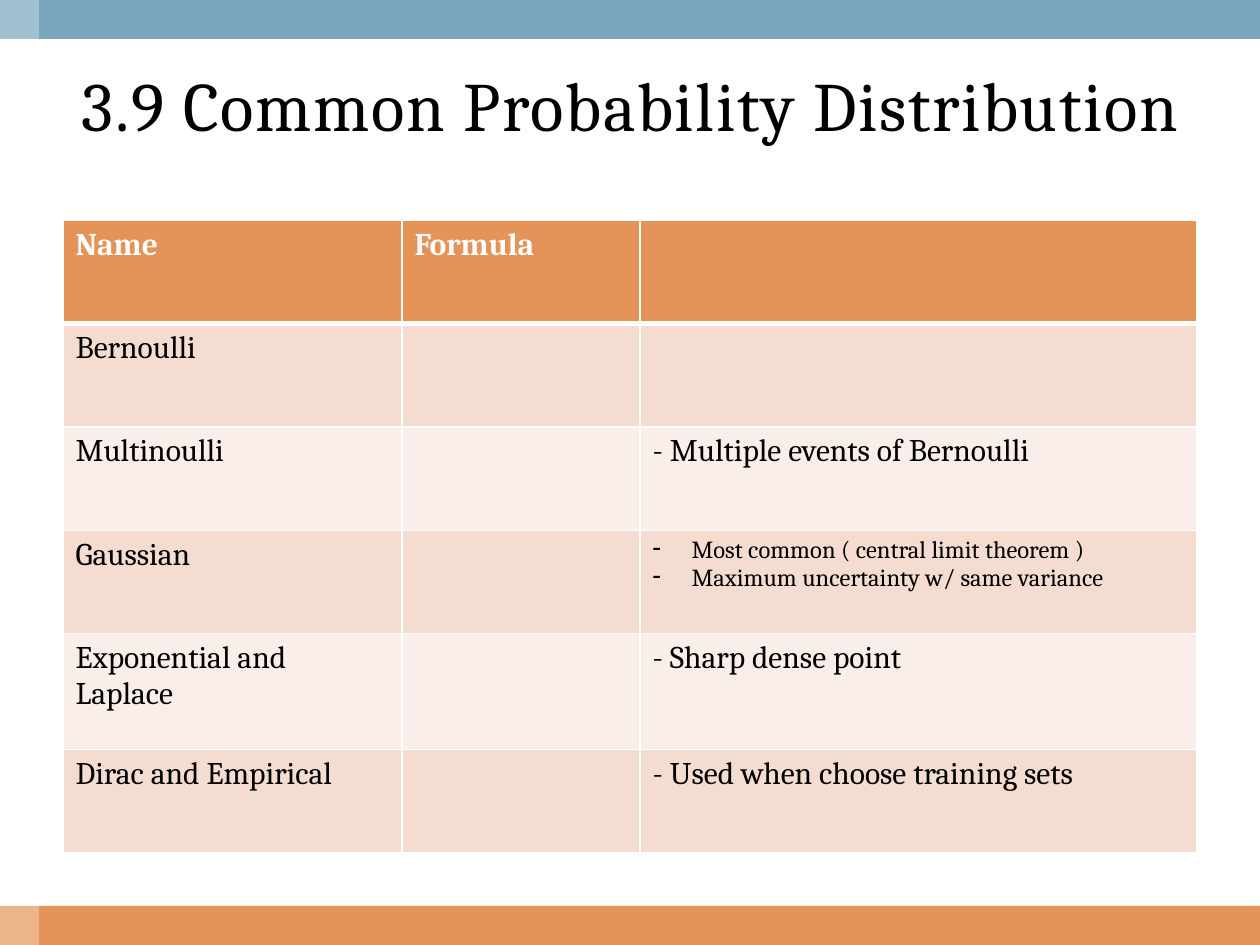
from pptx import Presentation
from pptx.dml.color import RGBColor
from pptx.enum.shapes import MSO_SHAPE as Kind
from pptx.enum.text import MSO_ANCHOR as Anchor, PP_ALIGN as Align
from pptx.oxml.ns import qn
from pptx.util import Inches, Pt
from lxml.etree import SubElement

TITLE = "3.9 Common Probability Distribution"
# A plain string is one paragraph; a list is a set of dashed points.
ROWS = [
    ("Name", "Formula", ""),
    ("Bernoulli", "", ""),
    ("Multinoulli", "", "- Multiple events of Bernoulli"),
    ("Gaussian", "", ["Most common ( central limit theorem )",
                      "Maximum uncertainty w/ same variance"]),
    ("Exponential and Laplace", "", "- Sharp dense point"),
    ("Dirac and Empirical", "", "- Used when choose training sets"),
]
THEME = dict(font="Cambria", white="FFFFFF", black="000000", blue="7BA5BE",
             orange="E49458", bands=("FAEEEA", "F5DCD1"),
             title=39.6, body=18, point=14)
WIDE, HIGH, BAR = 10, 7.5, 0.31
COLS = [2.69, 1.89, 4.42]
TALL = [0.82, 0.82, 0.82, 0.82, 0.92, 0.82]
INDENT = 0.31


def rgb(code):
    return RGBColor.from_string(code)


def box(*spot):
    return [Inches(n) for n in spot]


def style(para, size, color, bold=False):
    for run in para.runs:
        font = run.font
        font.name, font.size, font.bold = THEME["font"], Pt(size), bold
        font.color.rgb = rgb(color)


def band(slide, spot, color, alpha=None):
    shape = slide.shapes.add_shape(Kind.RECTANGLE, *box(*spot))
    shape.shadow.inherit = False
    shape.line.fill.background()
    shape.fill.solid()
    shape.fill.fore_color.rgb = rgb(color)
    if alpha:
        tint = shape.fill._xPr.find(".//" + qn("a:srgbClr"))
        SubElement(tint, qn("a:alpha"), val=str(alpha * 1000))


def edge(cell, head):
    """Draw white cell borders, thicker between header and body."""
    props = cell._tc.get_or_add_tcPr()
    for at, side in enumerate("LRTB"):
        thick = 3 if head and side == "B" else 1
        line = props.makeelement(qn("a:ln" + side), {"w": str(Pt(thick))})
        fill = SubElement(line, qn("a:solidFill"))
        SubElement(fill, qn("a:srgbClr"), val=THEME["white"])
        props.insert(at, line)


def dash(para):
    props = para._p.get_or_add_pPr()
    props.set("marL", str(Inches(INDENT)))
    props.set("indent", str(-Inches(INDENT)))
    SubElement(props, qn("a:buChar"), char="-")


def write(cell, text, head):
    frame = cell.text_frame
    points = isinstance(text, list)
    frame.text = "\n".join(text) if points else text
    for para in frame.paragraphs:
        style(para, THEME["point" if points else "body"],
              THEME["white" if head else "black"], head)
        if points:
            dash(para)


def grid(slide):
    spot = box(0.5, 1.75, sum(COLS), sum(TALL))
    table = slide.shapes.add_table(len(ROWS), len(COLS), *spot).table
    for col, size in zip(table.columns, COLS):
        col.width = Inches(size)
    for r, (row, size) in enumerate(zip(ROWS, TALL)):
        table.rows[r].height = Inches(size)
        for c, text in enumerate(row):
            cell, head = table.cell(r, c), r == 0
            cell.fill.solid()
            cell.fill.fore_color.rgb = rgb(
                THEME["orange"] if head else THEME["bands"][r % 2])
            edge(cell, head)
            write(cell, text, head)


def title(slide):
    frame = slide.shapes.add_textbox(*box(0.33, BAR, 9.36, 1.03)).text_frame
    frame.word_wrap = True
    frame.vertical_anchor = Anchor.MIDDLE
    frame.text = TITLE
    para = frame.paragraphs[0]
    para.alignment = Align.CENTER
    style(para, THEME["title"], THEME["black"])
    para.runs[0].font._element.set("spc", "100")


def main():
    deck = Presentation()
    deck.slide_width, deck.slide_height = box(WIDE, HIGH)
    slide = deck.slides.add_slide(deck.slide_layouts[6])
    band(slide, (0, HIGH - BAR, WIDE, BAR), THEME["orange"])
    band(slide, (0, 0, WIDE, BAR), THEME["blue"])
    band(slide, (0, 0, BAR, HIGH), THEME["white"], alpha=30)
    grid(slide)
    title(slide)
    deck.save("out.pptx")


if __name__ == "__main__":
    main()
